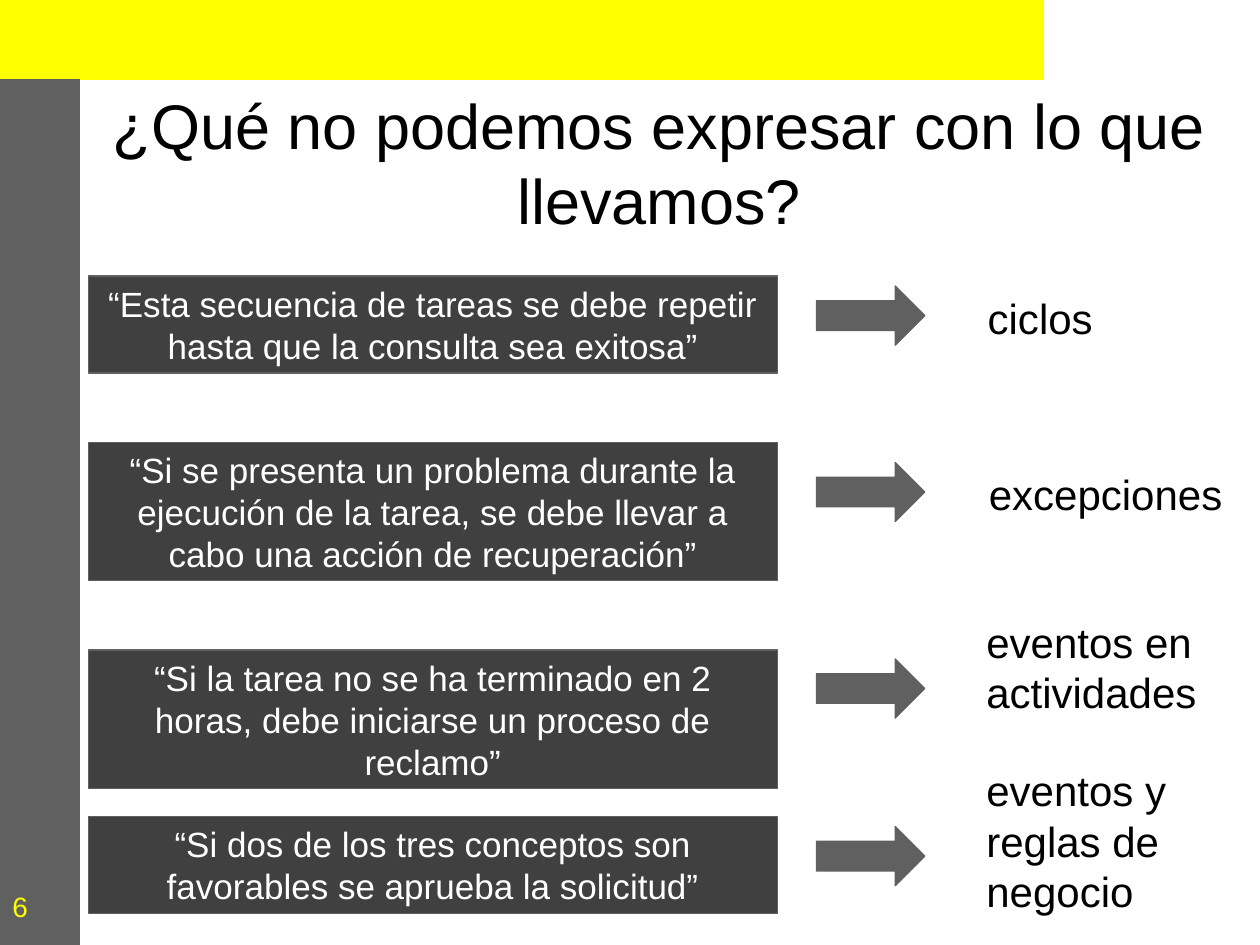
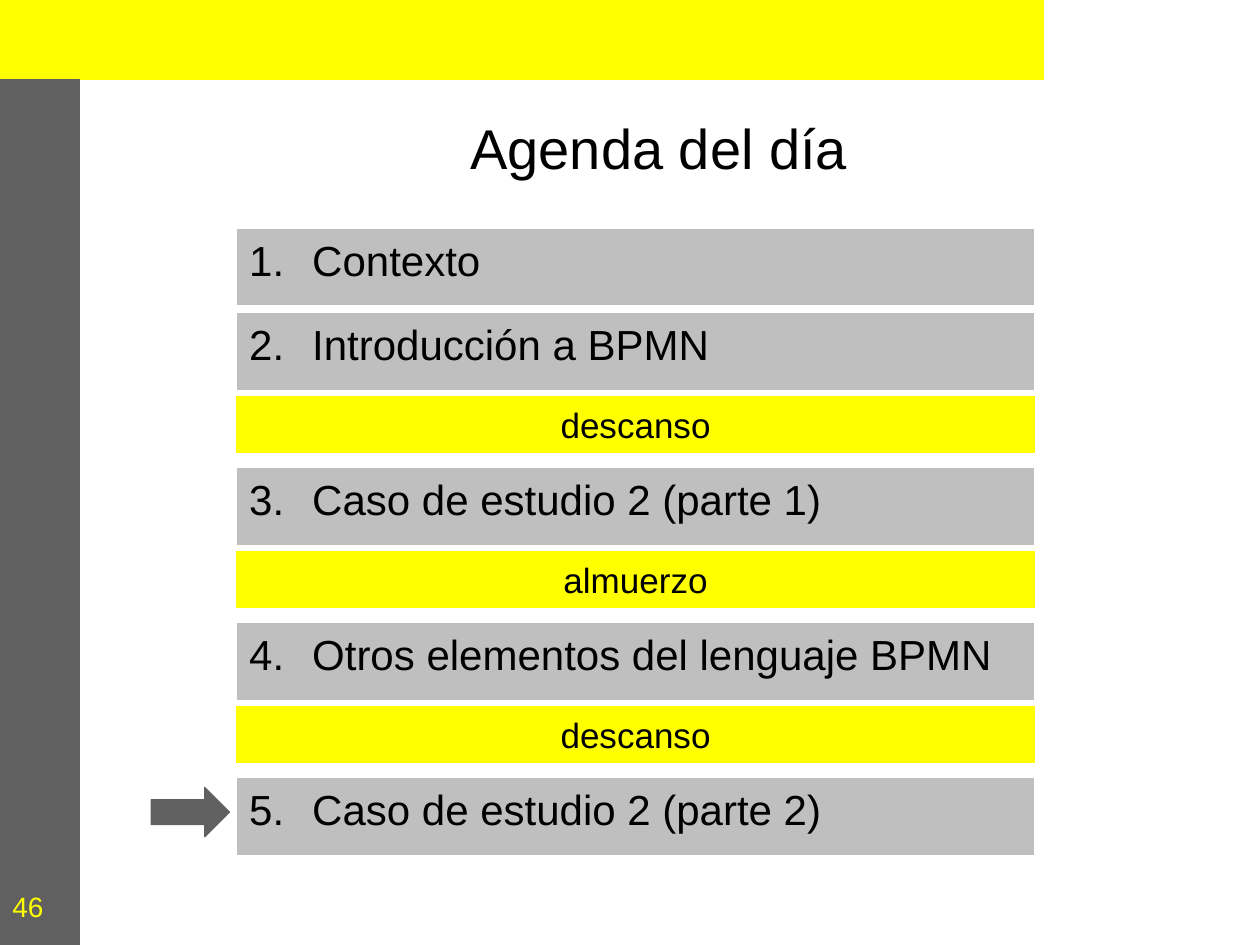
import pptx
import pptx.dml.color
import pptx.enum.shapes
import pptx.enum.text
import pptx.oxml
import pptx.oxml.ns
import pptx.util

Inches = pptx.util.Inches
RGBColor = pptx.dml.color.RGBColor
SHAPES = pptx.enum.shapes.MSO_SHAPE
ALIGN = pptx.enum.text.PP_ALIGN
ANCHOR = pptx.enum.text.MSO_ANCHOR
AUTO_SIZE = pptx.enum.text.MSO_AUTO_SIZE

FONT = "Arial"
YELLOW = RGBColor(0xFF, 0xFF, 0x00)
GRAY = RGBColor(0x60, 0x60, 0x60)
DARK_GRAY = RGBColor(0x40, 0x40, 0x40)
LIGHT_GRAY = RGBColor(0xBF, 0xBF, 0xBF)
BLACK = RGBColor(0x00, 0x00, 0x00)
WHITE = RGBColor(0xFF, 0xFF, 0xFF)

LIMITS = {
    "number": 6,
    "title": "¿Qué no podemos expresar con lo que llevamos?",
    "title_size": 36,
    "title_height": 1.17,
    # quote, quote top and height, arrow top, concept, concept box
    "rows": [
        ("“Esta secuencia de tareas se debe repetir hasta que la consulta sea exitosa”",
         2.19, 0.77, 2.27, "ciclos", (7.74, 2.27, 1.95, 0.5)),
        ("“Si se presenta un problema durante la ejecución de la tarea, "
         "se debe llevar a cabo una acción de recuperación”",
         3.51, 1.1, 3.67, "excepciones", (7.75, 3.67, 2.2, 0.5)),
        ("“Si la tarea no se ha terminado en 2 horas, debe iniciarse un proceso de reclamo”",
         5.16, 1.1, 5.23, "eventos en actividades", (7.73, 4.84, 1.95, 0.9)),
        ("“Si dos de los tres conceptos son favorables se aprueba la solicitud”",
         6.48, 0.77, 6.56, "eventos y reglas de negocio", (7.73, 6.02, 1.95, 1.3)),
    ],
}

AGENDA = {
    "number": 46,
    "title": "Agenda del día",
    "title_size": 32,
    "title_height": 0.94,
    "entries": [
        ("topic", "Contexto"),
        ("topic", "Introducción a BPMN"),
        ("break", "descanso"),
        ("topic", "Caso de estudio 2 (parte 1)"),
        ("break", "almuerzo"),
        ("topic", "Otros elementos del lenguaje BPMN"),
        ("break", "descanso"),
        ("topic", "Caso de estudio 2 (parte 2)"),
    ],
    "current": "Caso de estudio 2 (parte 2)",
}
AGENDA_LEFT, AGENDA_TOP, AGENDA_WIDTH = 1.88, 1.81, 6.33
TOPIC_HEIGHT, TOPIC_STEP = 0.62, 0.67
BREAK_HEIGHT, BREAK_STEP = 0.44, 0.56


def add_block(slide, kind, box, fill, line):
    shape = slide.shapes.add_shape(kind, *map(Inches, box))
    shape.shadow.inherit = False
    shape.fill.solid()
    shape.fill.fore_color.rgb = fill
    shape.line.color.rgb = line
    shape.line.width = pptx.util.Pt(0.75)
    return shape


def add_arrow(slide, box):
    add_block(slide, SHAPES.RIGHT_ARROW, box, GRAY, GRAY)


def write(shape, text, size, color, align=ALIGN.LEFT, anchor=ANCHOR.TOP,
          fit=False, number=None):
    """Put one paragraph in the shape, numbered if a number is given."""
    frame = shape.text_frame
    frame.auto_size = AUTO_SIZE.SHAPE_TO_FIT_TEXT if fit else AUTO_SIZE.NONE
    frame.word_wrap = True
    frame.vertical_anchor = anchor
    paragraph = frame.paragraphs[0]
    paragraph.alignment = align
    if number:
        add_number(paragraph, number)
    run = paragraph.add_run()
    run.text = text
    run.font.name = FONT
    run.font.size = pptx.util.Pt(size)
    run.font.color.rgb = color


def add_number(paragraph, number):
    properties = paragraph._p.get_or_add_pPr()
    properties.set("marL", str(Inches(0.5)))
    properties.set("indent", str(-Inches(0.5)))
    namespace = pptx.oxml.ns.nsdecls("a")
    for xml in (
        f'<a:buClr {namespace}><a:srgbClr val="{BLACK}"/></a:buClr>',
        f'<a:buFont {namespace} typeface="{FONT}"/>',
        f'<a:buAutoNum {namespace} type="arabicPeriod" startAt="{number}"/>',
    ):
        properties.append(pptx.oxml.parse_xml(xml))


def add_text(slide, box, text, size, color, **style):
    write(slide.shapes.add_textbox(*map(Inches, box)), text, size, color, **style)


def add_base_slide(presentation, content):
    """Add a slide with the bands, the title and the slide number."""
    slide = presentation.slides.add_slide(presentation.slide_layouts[6])
    add_block(slide, SHAPES.RECTANGLE, (0, 0, 8.28, 0.63), YELLOW, YELLOW)
    add_block(slide, SHAPES.RECTANGLE, (0, 0.63, 0.63, 6.87), GRAY, GRAY)
    add_text(slide, (0.62, 0.7, 9.22, content["title_height"]), content["title"],
             content["title_size"], BLACK, align=ALIGN.CENTER, anchor=ANCHOR.MIDDLE)
    add_text(slide, (0, 6.88, 0.63, 0.62), str(content["number"]), 16, YELLOW,
             anchor=ANCHOR.MIDDLE)
    return slide


def add_limits_slide(presentation):
    slide = add_base_slide(presentation, LIMITS)
    for quote, top, height, arrow_top, concept, concept_box in LIMITS["rows"]:
        block = add_block(slide, SHAPES.RECTANGLE, (0.7, top, 5.47, height), DARK_GRAY, GRAY)
        write(block, quote, 20, WHITE, align=ALIGN.CENTER, fit=True)
        add_arrow(slide, (6.48, arrow_top, 0.86, 0.47))
        add_text(slide, concept_box, concept, 24, BLACK, fit=True)


def add_agenda_slide(presentation):
    slide = add_base_slide(presentation, AGENDA)
    top, number = AGENDA_TOP, 0
    for kind, text in AGENDA["entries"]:
        if kind == "topic":
            number += 1
            box = (AGENDA_LEFT, top, AGENDA_WIDTH, TOPIC_HEIGHT)
            block = add_block(slide, SHAPES.RECTANGLE, box, LIGHT_GRAY, WHITE)
            write(block, text, 24, BLACK, number=number)
            if text == AGENDA["current"]:
                add_arrow(slide, (1.2, top + 0.08, 0.62, 0.39))
            top += TOPIC_STEP
        else:
            box = (AGENDA_LEFT, top, AGENDA_WIDTH, BREAK_HEIGHT)
            block = add_block(slide, SHAPES.RECTANGLE, box, YELLOW, YELLOW)
            write(block, text, 20, BLACK, align=ALIGN.CENTER, fit=True)
            top += BREAK_STEP


def main():
    presentation = pptx.Presentation()
    presentation.slide_width = Inches(10)
    presentation.slide_height = Inches(7.5)
    add_limits_slide(presentation)
    add_agenda_slide(presentation)
    presentation.save("out.pptx")


if __name__ == "__main__":
    main()
